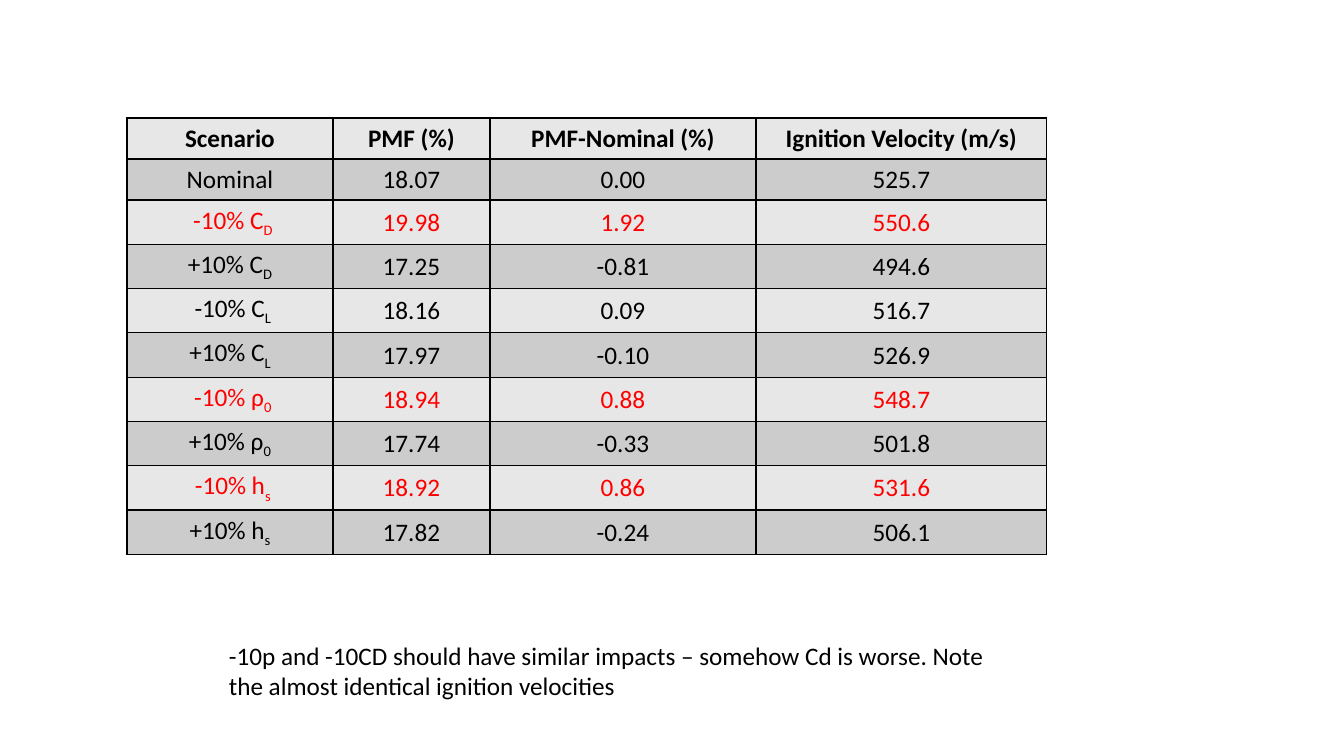
from lxml.etree import SubElement
from pptx import Presentation
from pptx.dml.color import RGBColor
from pptx.enum.text import MSO_ANCHOR, MSO_AUTO_SIZE, PP_ALIGN
from pptx.oxml.ns import qn
from pptx.util import Pt

PX = 9144000 / 1008
BLACK, RED = "000000", "FF0000"
BANDS = ["E7E7E7", "CCCCCC"]
WIDTHS = [206, 157, 266, 291]
HEADS = ["Scenario", "PMF (%)", "PMF-Nominal (%)", "Ignition Velocity (m/s)"]
CASES = [
    ("Nominal", "", "18.07", "0.00", "525.7", BLACK),
    (" -10% C", "D", "19.98", "1.92", "550.6", RED),
    ("+10% C", "D", "17.25", "-0.81", "494.6", BLACK),
    (" -10% C", "L", "18.16", "0.09", "516.7", BLACK),
    ("+10% C", "L", "17.97", "-0.10", "526.9", BLACK),
    (" -10% ρ", "0", "18.94", "0.88", "548.7", RED),
    ("+10% ρ", "0", "17.74", "-0.33", "501.8", BLACK),
    (" -10% h", "s", "18.92", "0.86", "531.6", RED),
    ("+10% h", "s", "17.82", "-0.24", "506.1", BLACK),
]
NOTE = ("-10p and -10CD should have similar impacts – somehow Cd is worse. "
        "Note the almost identical ignition velocities")
FONT = {"name": "Calibri", "size": Pt(18), "bold": False}
HEAD = {**FONT, "bold": True}


def px(n):
    """Turn pixels into EMU."""
    return round(n * PX)


def paint(target, color):
    """Give a font or fill color from a hex string."""
    target.rgb = RGBColor.from_string(color)


def put(item, values):
    """Set attributes from a dict."""
    for name, value in values.items():
        setattr(item, name, value)


def write(par, text, color=BLACK, font=FONT):
    """Add a formatted run and return it."""
    run = par.add_run()
    run.text = text
    put(run.font, font)
    paint(run.font.color, color)
    return run


def border(cell):
    """Draw a thin black line on each side of a cell."""
    props = cell._tc.get_or_add_tcPr()
    for side in ("lnL", "lnR", "lnT", "lnB"):
        line = SubElement(props, qn(f"a:{side}"), w=str(Pt(1)))
        fill = SubElement(line, qn("a:solidFill"))
        SubElement(fill, qn("a:srgbClr"), val=BLACK)


def fill_cell(cell, band, text, sub="", color=BLACK, font=FONT):
    """Fill a table cell with centred text and an optional subscript."""
    border(cell)
    cell.fill.solid()
    paint(cell.fill.fore_color, band)
    cell.vertical_anchor = MSO_ANCHOR.MIDDLE
    par = cell.text_frame.paragraphs[0]
    par.alignment = PP_ALIGN.CENTER
    write(par, text, color, font)
    if sub:
        run = write(par, sub, color, font)
        run._r.get_or_add_rPr().set("baseline", "-25000")


def add_grid(slide):
    """Add the table of scenarios."""
    count = len(CASES) + 1
    frame = slide.shapes.add_table(count, len(HEADS), px(127), px(118),
                                   px(sum(WIDTHS)), px(436))
    table = frame.table
    for col, width in zip(table.columns, WIDTHS):
        col.width = px(width)
    for i, row in enumerate(table.rows):
        row.height = px(41 if i < 2 else 44)
    for cell, text in zip(table.rows[0].cells, HEADS):
        fill_cell(cell, BANDS[0], text, font=HEAD)
    tight = {"margin_left": px(1), "margin_right": px(1),
             "margin_top": px(1), "margin_bottom": 0}
    for i, (name, sub, *values, color) in enumerate(CASES, 1):
        first, *rest = table.rows[i].cells
        band = BANDS[i % 2]
        fill_cell(first, band, name, sub, color)
        for cell, value in zip(rest, values):
            put(cell, tight)
            fill_cell(cell, band, value, color=color)


def add_note(slide):
    """Add the remark below the table."""
    box = slide.shapes.add_textbox(px(219), px(635), px(807), px(72))
    put(box.text_frame, {"word_wrap": True,
                         "auto_size": MSO_AUTO_SIZE.SHAPE_TO_FIT_TEXT})
    write(box.text_frame.paragraphs[0], NOTE)


def main():
    """Build and save the slide."""
    deck = Presentation()
    put(deck, {"slide_width": px(1344), "slide_height": px(756)})
    slide = deck.slides.add_slide(deck.slide_layouts[6])
    add_grid(slide)
    add_note(slide)
    deck.save("out.pptx")


if __name__ == "__main__":
    main()
